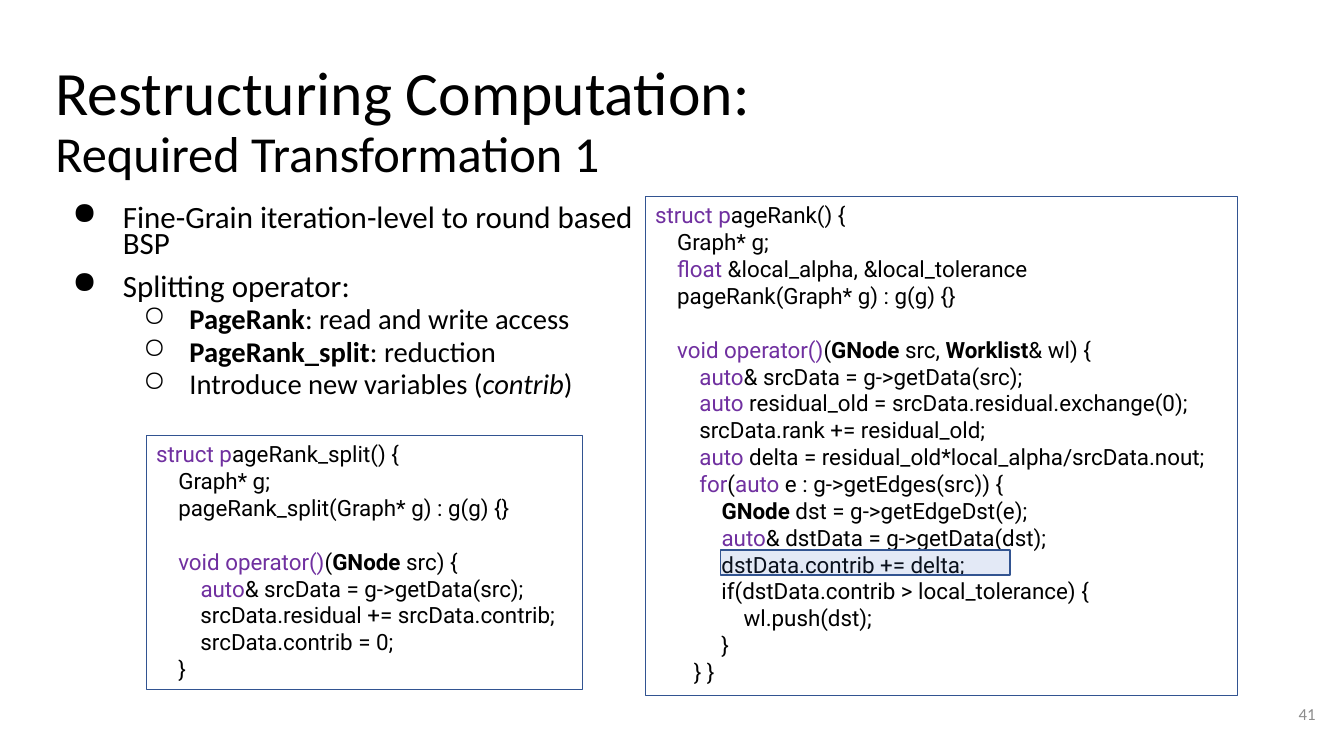
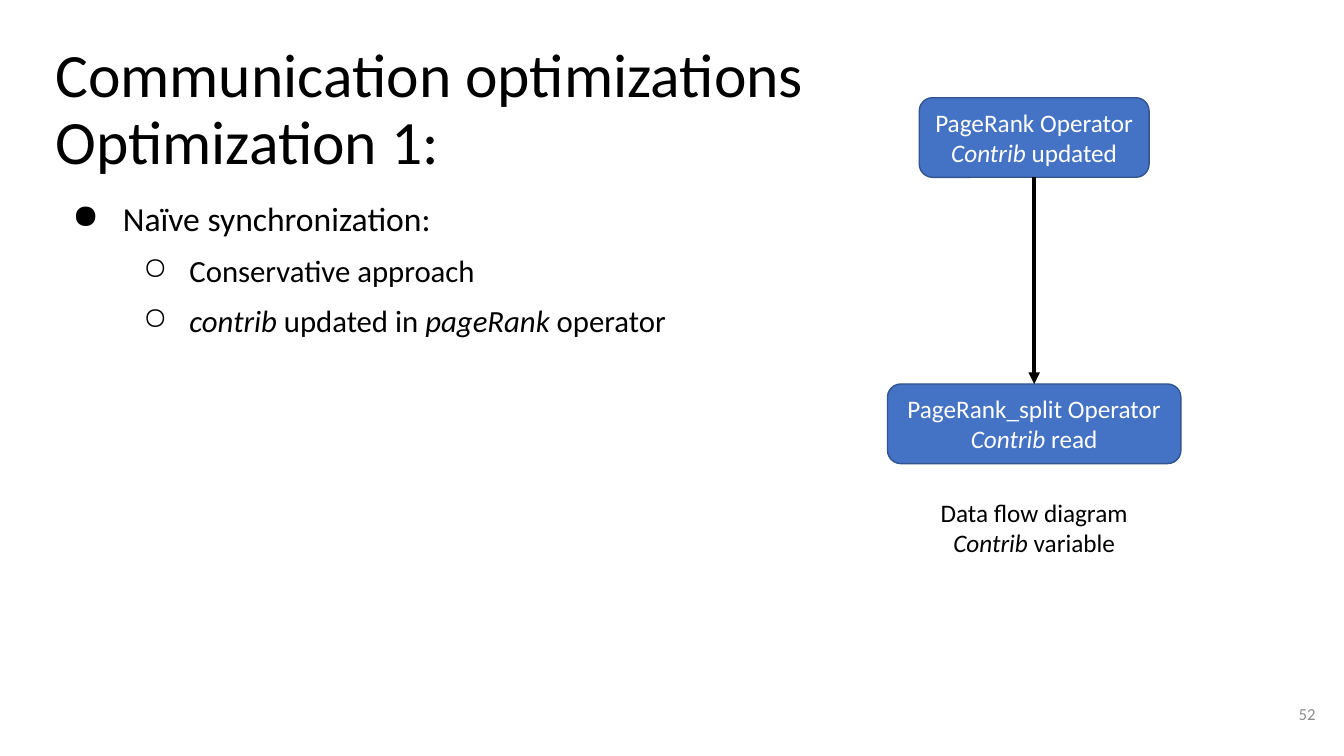
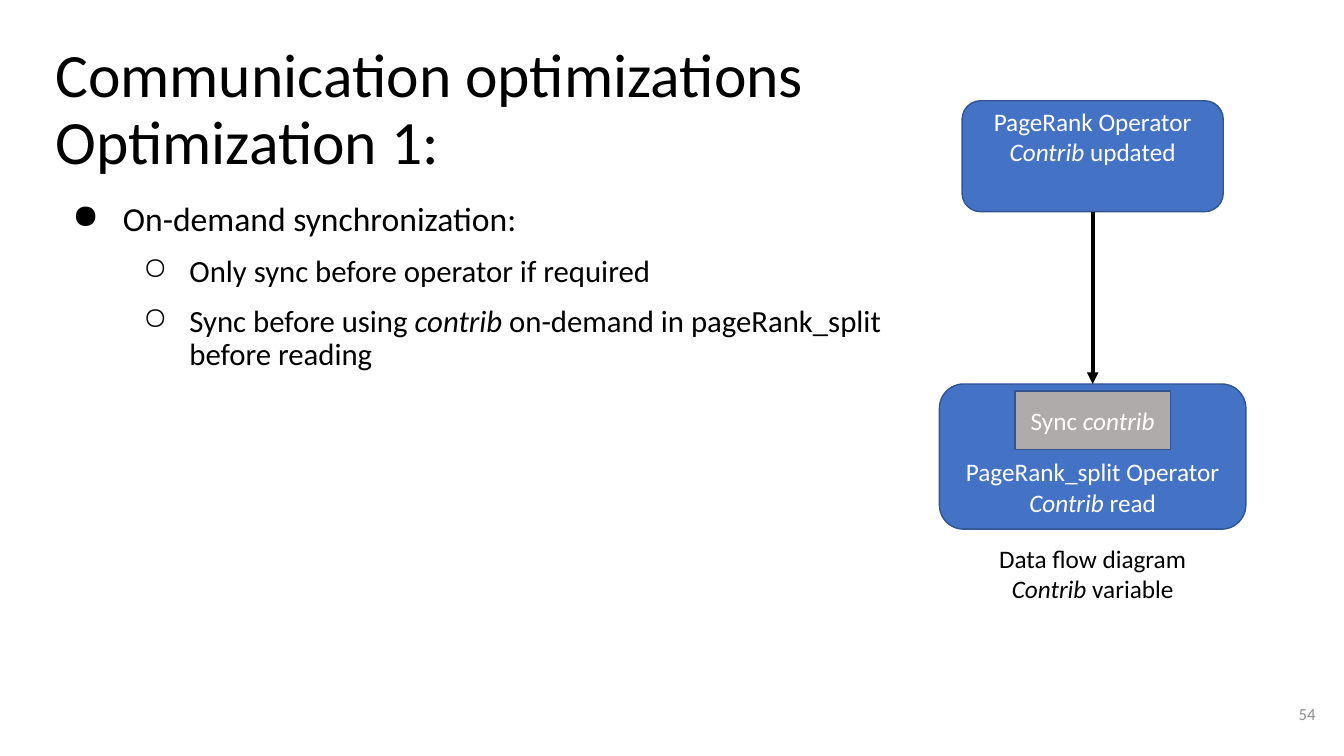
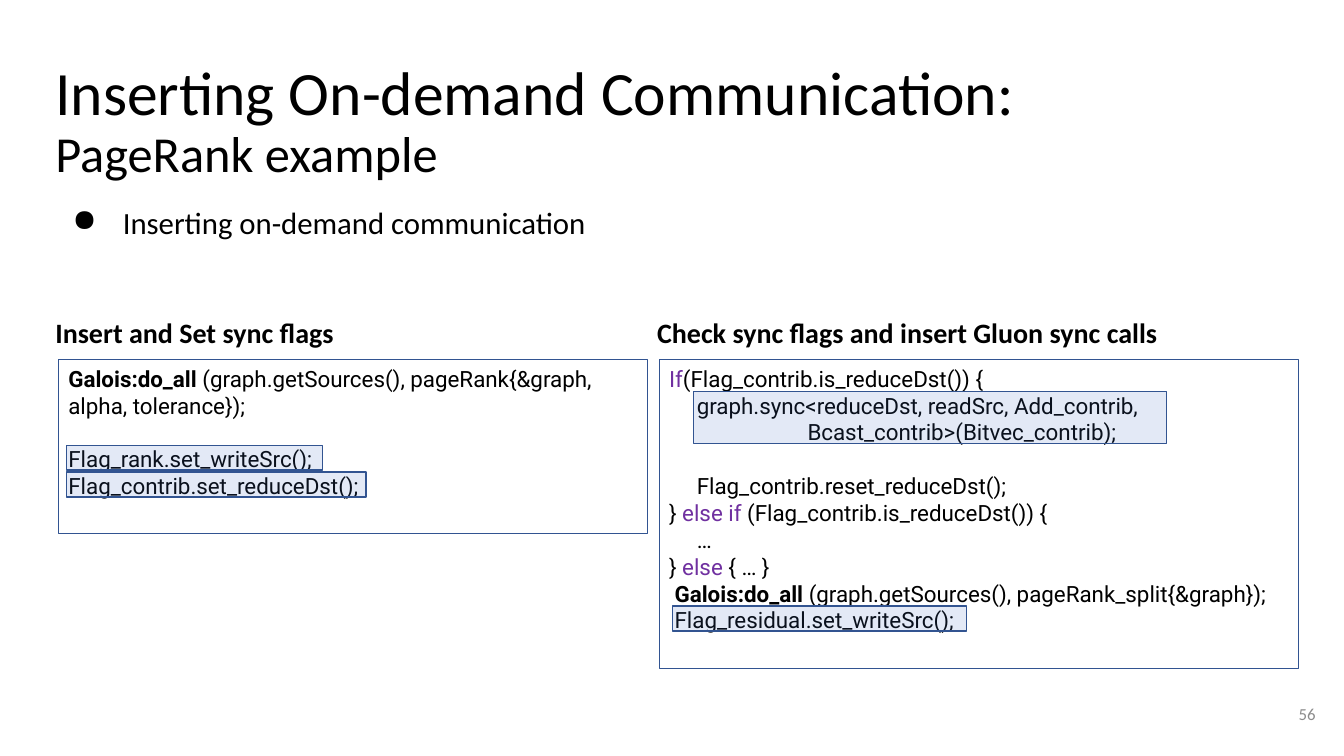
"""Build four slides on restructuring and synchronizing a PageRank program."""
from lxml import etree
from pptx import Presentation, util as u
from pptx.dml.color import RGBColor
from pptx.enum import shapes, text
from pptx.oxml.ns import qn

WIDTH, HEIGHT = u.Inches(13.33), u.Inches(7.5)
BLACK = RGBColor(0x00, 0x00, 0x00)
WHITE = RGBColor(0xFF, 0xFF, 0xFF)
GREY = RGBColor(0x8C, 0x8C, 0x8C)
SYNC_GREY = RGBColor(0xAF, 0xAB, 0xAB)
BLUE = RGBColor(0x44, 0x72, 0xC4)
OUTLINE = RGBColor(0x32, 0x54, 0x91)
PURPLE = RGBColor(0x70, 0x30, 0xA0)
BODY_FONT, CODE_FONT = "Calibri", "Roboto"
CODE_LINE = u.Pt(19.15)
WIDE_INSET = u.Inches(0.1)
LEFT = 3.38
BULLETS = [("●", 0.67, -0.5), ("○", 1.33, -0.46)]
TOP, MIDDLE, BOTTOM = (text.MSO_ANCHOR.TOP, text.MSO_ANCHOR.MIDDLE,
                       text.MSO_ANCHOR.BOTTOM)
CENTER, RIGHT = text.PP_ALIGN.CENTER, text.PP_ALIGN.RIGHT
RECTANGLE = shapes.MSO_SHAPE.RECTANGLE
ROUNDED = shapes.MSO_SHAPE.ROUNDED_RECTANGLE

PAGERANK = [
    "#struct p|ageRank() {",
    "    Graph* g;",
    "    |#float |&local_alpha, &local_tolerance",
    "    pageRank(Graph* g) : g(g) {}",
    "",
    "    |#void operator()|(|!GNode |src, |!Worklist|& wl) {",
    "        |#auto|& srcData = g->getData(src);",
    "        |#auto |residual_old = srcData.residual.exchange(0);",
    "        srcData.rank += residual_old;",
    "        |#auto| delta = residual_old*local_alpha/srcData.nout;",
    "        |#for|(|#auto| e : g->getEdges(src)) {",
    "            |!GNode |dst = g->getEdgeDst(e);",
    "            |#auto|& dstData = g->getData(dst);",
    "            dstData.contrib += delta;",
    "            if(dstData.contrib > local_tolerance) {",
    "                wl.push(dst);",
    "            }",
    "       } }",
]
PAGERANK_SPLIT = [
    "#struct p|ageRank_split() {",
    "    Graph* g;",
    "    pageRank_split(Graph* g) : g(g) {}",
    "",
    "    |#void operator()|(|!GNode |src) {",
    "        |#auto|& srcData = g->getData(src);",
    "        srcData.residual += srcData.contrib;",
    "        srcData.contrib = 0;",
    "    }",
]
SET_FLAGS = [
    "!Galois:do_all |(graph.getSources(), pageRank{&graph,",
    "alpha, tolerance});",
    "",
    "Flag_rank.set_writeSrc();",
    "Flag_contrib.set_reduceDst();",
]
CHECK_FLAGS = [
    "#If|(Flag_contrib.is_reduceDst()) {",
    "     graph.sync<reduceDst, readSrc, Add_contrib,",
    "                         Bcast_contrib>(Bitvec_contrib);",
    "",
    "     Flag_contrib.reset_reduceDst();",
    "} |#else if |(Flag_contrib.is_reduceDst()) {",
    "     …",
    "} |#else |{ … }",
    " |!Galois:do_all |(graph.getSources(), pageRank_split{&graph});",
    " Flag_residual.set_writeSrc();",
]


def across(share):
    """Convert a percentage of the slide width to a length."""
    return int(WIDTH * share / 100)


def down(share):
    """Convert a percentage of the slide height to a length."""
    return int(HEIGHT * share / 100)


def area(left, top, width, height):
    """Convert percentages of the slide to a position and size."""
    return across(left), down(top), across(width), down(height)


def centered(middle, top, width, height):
    """Return the area of an element centred on a vertical axis."""
    return area(middle - width / 2, top, width, height)


def style_run(run, size, color=BLACK, font=BODY_FONT):
    """Give a run its font, size and colour."""
    run.font.name, run.font.size = font, u.Pt(size)
    run.font.color.rgb = color


def write_runs(paragraph, line, size, color=BLACK, font=BODY_FONT):
    """Write parts split by |, led by # for keyword, ! for bold, / for italic."""
    for part in line.split("|"):
        mark = part[0] if part[0] in "#!/" else ""
        run = paragraph.add_run()
        run.text = part[len(mark):]
        style_run(run, size, PURPLE if mark == "#" else color, font)
        if mark == "!":
            run.font.bold = True
        if mark == "/":
            run.font.italic = True


def write_lines(frame, lines, size, color=BLACK, font=BODY_FONT, align=None):
    """Write one paragraph per line; an empty line becomes spacing."""
    paragraph, gap = frame.paragraphs[0], False
    for index, line in enumerate(lines):
        if not line:
            gap = True
            continue
        if index:
            paragraph = frame.add_paragraph()
        if gap:
            paragraph.space_before = CODE_LINE
            gap = False
        paragraph.alignment = align
        write_runs(paragraph, line, size, color, font)


def set_insets(frame, inset):
    """Set all four margins of a text frame."""
    frame.margin_left = frame.margin_right = inset
    frame.margin_top = frame.margin_bottom = inset


def add_text(slide, place, wrap=True, inset=None, anchor=TOP):
    """Add a text box and return its frame."""
    frame = slide.shapes.add_textbox(*place).text_frame
    frame.word_wrap, frame.vertical_anchor = wrap, anchor
    if inset is not None:
        set_insets(frame, inset)
    return frame


def add_box(slide, kind, place, fill=None, line_width=1):
    """Add an outlined shape without shadow."""
    shape = slide.shapes.add_shape(kind, *place)
    shape.shadow.inherit = False
    if fill is None:
        shape.fill.background()
    else:
        shape.fill.solid()
        shape.fill.fore_color.rgb = fill
    shape.line.color.rgb, shape.line.width = OUTLINE, u.Pt(line_width)
    return shape


def add_slide(presentation, number, top, title, subtitle, subtitle_size):
    """Add a slide with its two-line title and page number."""
    slide = presentation.slides.add_slide(presentation.slide_layouts[6])
    frame = add_text(slide, area(LEFT, top, 93.15, 13.73), inset=WIDE_INSET)
    paragraph = frame.paragraphs[0]
    paragraph.text = f"{title}\v{subtitle}"
    paragraph.line_spacing = 0.9
    for run, size in zip(paragraph.runs, (44, subtitle_size)):
        style_run(run, size)
    frame = add_text(slide, area(92.63, 90.67, 6, 7.6), inset=WIDE_INSET,
                     anchor=MIDDLE)
    write_lines(frame, [str(number)], 12, GREY, align=RIGHT)
    return slide


def add_bullets(slide, place, items, sizes, spacing=0.9, gaps=(12, 12)):
    """Add a bulleted list of (level, line) items."""
    frame = add_text(slide, place, inset=WIDE_INSET)
    for index, (level, line) in enumerate(items):
        paragraph = frame.add_paragraph() if index else frame.paragraphs[0]
        paragraph.level, paragraph.line_spacing = level, spacing
        if index:
            paragraph.space_before = u.Pt(gaps[level])
        symbol, margin, indent = BULLETS[level]
        properties = paragraph._p.get_or_add_pPr()
        properties.set("marL", str(u.Inches(margin)))
        properties.set("indent", str(u.Inches(indent)))
        etree.SubElement(properties, qn("a:buChar")).set("char", symbol)
        write_runs(paragraph, line, sizes[level])


def add_code(slide, place, lines):
    """Add an outlined code listing."""
    shape = add_box(slide, RECTANGLE, place, line_width=0.75)
    frame = shape.text_frame
    frame.word_wrap, frame.vertical_anchor = True, TOP
    write_lines(frame, lines, 16, font=CODE_FONT, align=text.PP_ALIGN.LEFT)
    return shape


def highlight(slide, code, first, left, width, count=1):
    """Lay a translucent band over lines of a code listing."""
    top = code.top + code.text_frame.margin_top + first * CODE_LINE
    height = count * CODE_LINE - u.Inches(0.02)
    place = across(left), top, across(width), height
    band = add_box(slide, RECTANGLE, place, BLUE)
    color = band.fill._xPr.find(qn("a:solidFill"))[0]
    etree.SubElement(color, qn("a:alpha")).set("val", "15000")


def add_node(slide, place, lines, anchor=MIDDLE, kind=ROUNDED, fill=BLUE,
             inset=None):
    """Add a filled diagram node with centred white text."""
    shape = add_box(slide, kind, place, fill)
    frame = shape.text_frame
    frame.word_wrap, frame.vertical_anchor = True, anchor
    if inset is not None:
        set_insets(frame, inset)
    write_lines(frame, lines, 18, WHITE, align=CENTER)
    return shape


def add_arrow(slide, source, target):
    """Join the bottom of one node to the top of another."""
    arrow = slide.shapes.add_connector(shapes.MSO_CONNECTOR.STRAIGHT, 0, 0, 0, 0)
    arrow.begin_connect(source, 2)
    arrow.end_connect(target, 0)
    arrow.line.color.rgb, arrow.line.width = BLACK, u.Pt(2.75)
    etree.SubElement(arrow.line._get_or_add_ln(), qn("a:tailEnd")).set(
        "type", "triangle")
    etree.SubElement(arrow._element.spPr, qn("a:effectLst"))


def add_flow(slide, axis, writer, reader, caption_top, anchors, inset=None):
    """Add the data flow diagram; nodes are (top, width, height)."""
    nodes = []
    for (top, width, height), name, action, anchor, margin in zip(
            (writer, reader), ("PageRank", "PageRank_split"),
            ("updated", "read"), anchors, (inset, None)):
        nodes.append(add_node(slide, centered(axis, top, width, height),
                              [f"{name} Operator", f"/Contrib |{action}"],
                              anchor, inset=margin))
    add_arrow(slide, *nodes)
    frame = add_text(slide, centered(axis, caption_top, 15.6, 9.47), wrap=False)
    write_lines(frame, ["Data flow diagram", "/Contrib| variable"], 18,
                align=CENTER)


def add_heading(slide, left, width, line):
    """Add a bold heading above a code listing."""
    frame = add_text(slide, area(left, 41.07, width, 5.87), wrap=False)
    write_lines(frame, [line], 20)


def build_restructuring(presentation):
    """Build the slide on splitting the operator."""
    slide = add_slide(presentation, 41, 6.93, "Restructuring Computation:",
                      "Required Transformation 1", 36)
    add_bullets(slide, area(LEFT, 26.13, 44.63, 31.6), [
        (0, "Fine-Grain iteration-level to round based BSP"),
        (0, "Splitting operator:"),
        (1, "!PageRank|: read and write access"),
        (1, "!PageRank_split|: reduction"),
        (1, "Introduce new variables (|/contrib|)"),
    ], (22.1, 20.4), spacing=0.7, gaps=(12, 6))
    code = add_code(slide, area(48, 26, 44.1, 66), PAGERANK)
    highlight(slide, code, 13, 53.63, 21.53)
    add_code(slide, area(10.88, 57.6, 32.48, 33.6), PAGERANK_SPLIT)


def build_optimization(presentation, number, width, items):
    """Build the text shared by the optimization slides."""
    slide = add_slide(presentation, number, 4.53,
                      "Communication optimizations", "Optimization 1:", 44)
    add_bullets(slide, area(LEFT, 25.47, width, 66.4), items, (24, 22))
    return slide


def build_naive(presentation):
    """Build the slide on naive synchronization."""
    slide = build_optimization(presentation, 52, 61.73, [
        (0, "Naïve synchronization:"),
        (1, "Conservative approach"),
        (1, "/contrib| updated in |/pageRank| operator"),
    ])
    add_flow(slide, 76.95, (12.93, 17.1, 10.53), (50.8, 21.83, 10.53), 65.07,
             (MIDDLE, MIDDLE))


def build_on_demand(presentation):
    """Build the slide on on-demand synchronization."""
    slide = build_optimization(presentation, 54, 64.88, [
        (0, "On-demand synchronization:"),
        (1, "Only sync before operator if required"),
        (1, "Sync before using |/contrib |on-demand in pageRank_split "
            "before reading"),
    ])
    axis = 81.3
    add_flow(slide, axis, (13.33, 19.43, 14.67), (50.8, 22.8, 19.2), 71.2,
             (TOP, BOTTOM), inset=0)
    add_node(slide, centered(axis, 51.73, 11.55, 7.73), ["Sync |/contrib"],
             kind=RECTANGLE, fill=SYNC_GREY)


def build_insertion(presentation):
    """Build the slide on inserting communication calls."""
    slide = add_slide(presentation, 56, 6.93,
                      "Inserting On-demand Communication:",
                      "PageRank example", 36)
    add_bullets(slide, area(LEFT, 26.13, 49.73, 19.87),
                [(0, "Inserting on-demand communication")], (22,))
    add_heading(slide, LEFT, 22.43, "!Insert and Set sync flags")
    add_heading(slide, 48.15, 39.53,
                "!Check sync flags and insert Gluon sync calls")
    setting = add_code(slide, area(4.35, 47.6, 43.8, 22.93), SET_FLAGS)
    highlight(slide, setting, 3, 4.95, 19.05)
    highlight(slide, setting, 4, 4.95, 22.28)
    checking = add_code(slide, area(49.05, 47.6, 47.55, 40.8), CHECK_FLAGS)
    highlight(slide, checking, 1, 51.6, 35.18, count=2)
    highlight(slide, checking, 9, 50.03, 21.9)


def main():
    """Build and save the presentation."""
    presentation = Presentation()
    presentation.slide_width, presentation.slide_height = WIDTH, HEIGHT
    build_restructuring(presentation)
    build_naive(presentation)
    build_on_demand(presentation)
    build_insertion(presentation)
    presentation.save("out.pptx")


if __name__ == "__main__":
    main()
